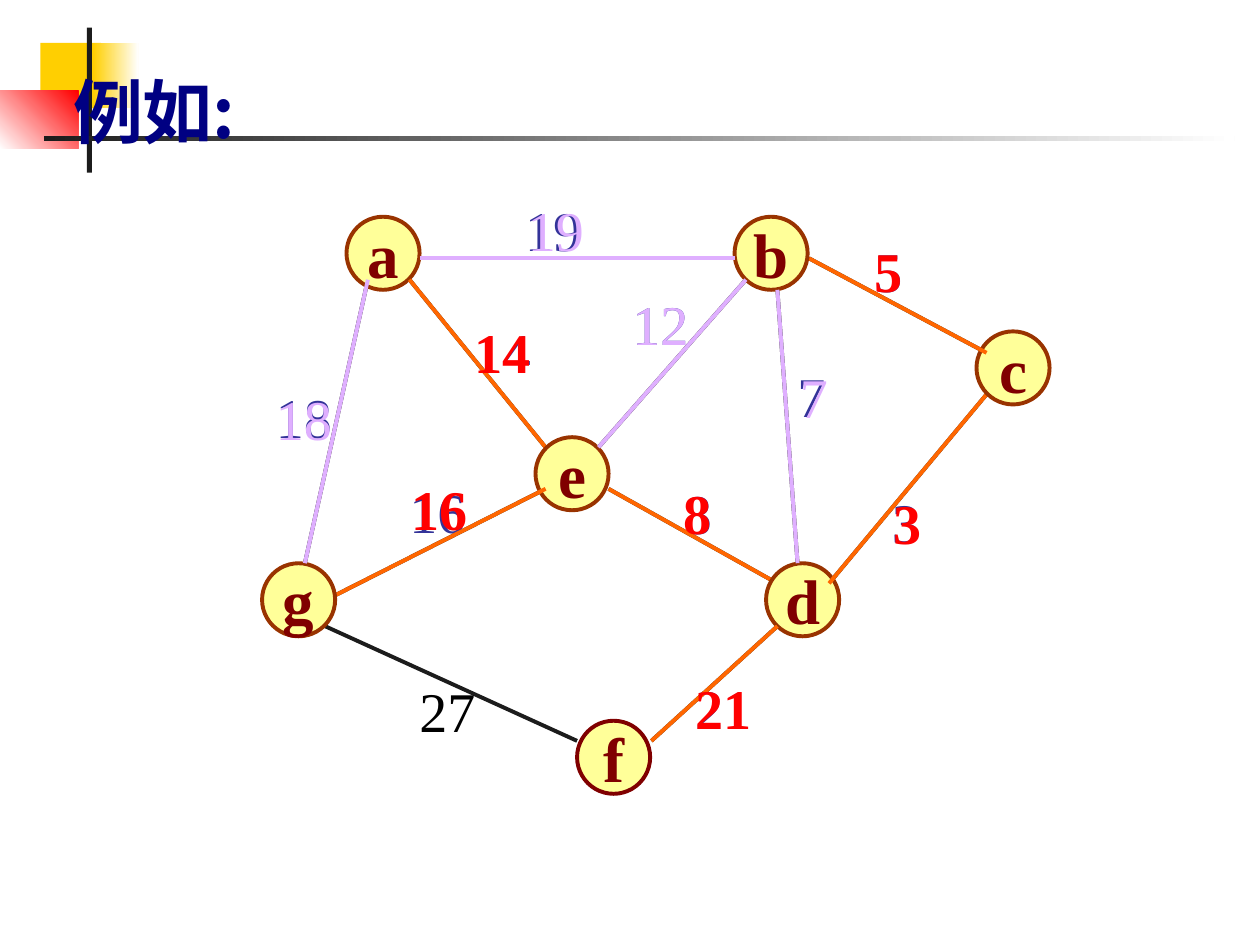
from lxml.etree import SubElement
from pptx import Presentation
from pptx.dml.color import RGBColor
from pptx.enum.shapes import MSO_CONNECTOR, MSO_SHAPE
from pptx.enum.text import MSO_ANCHOR, MSO_AUTO_SIZE, PP_ALIGN
from pptx.oxml.ns import qn
from pptx.util import Inches, Pt

TITLE = "例如:"
BANNER = [
    (0.32, 0.34, 0.48, 0.52, ["FFCF01"], 0),
    (0.74, 0.34, 0.36, 0.52, ["FFCF01", "FFFFFF"], 0),
    (0, 0.72, 0.62, 0.46, ["FFFFFF", "FF0000"], 45),
    (0.69, 0.22, 0.04, 1.15, ["1C1C1C"], 0),
    (0.35, 1.08, 9.45, 0.04, ["1C1C1C", "FFFFFF"], 0),
]
NODES = {
    "a": (2.75, 1.72), "b": (5.83, 1.72), "c": (7.75, 2.63), "d": (6.08, 4.47),
    "e": (4.25, 3.47), "f": (4.58, 5.72), "g": (2.08, 4.47),
}
EDGES = {
    "ab": ((3.33, 2.05), (5.83, 2.05)),
    "ae": ((3.25, 2.22), (4.33, 3.55)),
    "be": ((5.92, 2.22), (4.75, 3.55)),
    "ag": ((2.92, 2.22), (2.42, 4.47)),
    "ge": ((2.67, 4.72), (4.33, 3.88)),
    "ed": ((4.83, 3.88), (6.17, 4.63)),
    "bc": ((6.42, 2.05), (7.83, 2.8)),
    "cd": ((7.83, 3.13), (6.58, 4.63)),
    "bd": ((6.17, 2.3), (6.33, 4.47)),
    "gf": ((2.58, 4.97), (4.58, 5.88)),
    "df": ((6.17, 4.97), (5.17, 5.88)),
}
WEIGHTS = {
    "ab": ("19", 4.07, 1.5), "bc": ("5", 6.84, 1.83), "ae": ("14", 3.67, 2.47),
    "ag": ("18", 2.09, 2.99), "gf": ("27", 3.23, 5.32), "ge": ("16", 3.15, 3.74),
    "ed": ("8", 5.33, 3.75), "df": ("21", 5.42, 5.3), "cd": ("3", 6.98, 3.82),
    "be": ("12", 4.92, 2.25), "bd": ("7", 6.23, 2.82),
}
BUILD_ORDER = ["a", "ae", "e", "ed", "d", "cd", "c", "bc", "b", "ge", "g", "df", "f"]
CHOSEN = ["ae", "ed", "bc", "cd", "ge", "df"]
REJECTED = ["bd", "be", "ag", "ab"]
RECOLOUR_SHIFT = {"cd": (0.01, 0.01), "ge": (0.02, -0.02), "bd": (0.02, 0.01),
                  "ag": (0, 0.01), "ab": (0.02, 0)}
NODE_SIZE = 0.58
LABEL_PADDING = 0.19
DIGIT_WIDTH = 0.23
LABEL_HEIGHT = 0.64
SERIF = "Times New Roman"
LILAC = "DFAFFF"


def colour(value):
    return RGBColor.from_string(value)


def inches(*lengths):
    return [Inches(length) for length in lengths]


def write(frame, words, hue, face, size, bold, align=PP_ALIGN.LEFT):
    frame.word_wrap = False
    paragraph = frame.paragraphs[0]
    paragraph.alignment = align
    run = paragraph.add_run()
    run.text = words
    for key, value in {"name": face, "size": Pt(size), "bold": bold}.items():
        setattr(run.font, key, value)
    run.font.color.rgb = colour(hue)
    SubElement(run.font._element, qn("a:ea")).set("typeface", face)


def add_banner_bar(left, top, width, height, hues, angle):
    bar = slide.shapes.add_shape(MSO_SHAPE.RECTANGLE, *inches(left, top, width, height))
    bar.shadow.inherit = False
    bar.line.fill.background()
    if len(hues) == 1:
        bar.fill.solid()
        bar.fill.fore_color.rgb = colour(hues[0])
        return
    bar.fill.gradient()
    bar.fill.gradient_angle = angle
    for stop, hue in zip(bar.fill.gradient_stops, hues):
        stop.color.rgb = colour(hue)


def add_edge(edge, hue):
    start, end = EDGES[edge]
    link = slide.shapes.add_connector(MSO_CONNECTOR.STRAIGHT, *inches(*start, *end))
    link.line.color.rgb = colour(hue)
    link.line.width = Pt(2.25)
    SubElement(link._element.spPr, qn("a:effectLst"))


def add_weight(edge, hue, bold=False, shift=(0, 0)):
    digits, left, top = WEIGHTS[edge]
    width = LABEL_PADDING + DIGIT_WIDTH * len(digits)
    label = slide.shapes.add_textbox(
        *inches(left + shift[0], top + shift[1], width, LABEL_HEIGHT))
    write(label.text_frame, digits, hue, SERIF, 32, bold)
    label.text_frame.auto_size = MSO_AUTO_SIZE.SHAPE_TO_FIT_TEXT


def add_node(node):
    circle = slide.shapes.add_shape(
        MSO_SHAPE.OVAL, *inches(*NODES[node], NODE_SIZE, NODE_SIZE))
    circle.shadow.inherit = False
    circle.fill.solid()
    circle.fill.fore_color.rgb = colour("FFFF99")
    circle.line.color.rgb = colour("800000" if node == "f" else "993300")
    circle.line.width = Pt(2.25)
    circle.text_frame.vertical_anchor = MSO_ANCHOR.MIDDLE
    write(circle.text_frame, node, "800000", SERIF, 36, True, PP_ALIGN.CENTER)


deck = Presentation()
deck.slide_width, deck.slide_height = inches(10, 7.5)
slide = deck.slides.add_slide(deck.slide_layouts[5])

for bar_values in BANNER:
    add_banner_bar(*bar_values)
for edge in EDGES:
    add_edge(edge, "1C1C1C")
for edge in WEIGHTS:
    add_weight(edge, "000000" if edge == "gf" else "333399")
for step in BUILD_ORDER:
    if step in NODES:
        add_node(step)
    else:
        add_edge(step, "FF6600")
for edge in CHOSEN:
    add_weight(edge, "FF0000", True, RECOLOUR_SHIFT.get(edge, (0, 0)))

title = slide.shapes.title
for side, length in zip(("left", "top", "width", "height"), inches(0.48, 0.49, 1.77, 0.77)):
    setattr(title, side, length)
title.text_frame.vertical_anchor = MSO_ANCHOR.TOP
title.text_frame.auto_size = MSO_AUTO_SIZE.NONE
write(title.text_frame, TITLE, "000082", "Noto Sans CJK SC", 40, True)
slide.shapes._spTree.append(title._element)

for edge in REJECTED:
    add_edge(edge, LILAC)
for edge in REJECTED:
    add_weight(edge, LILAC, shift=RECOLOUR_SHIFT.get(edge, (0, 0)))

deck.save("out.pptx")
